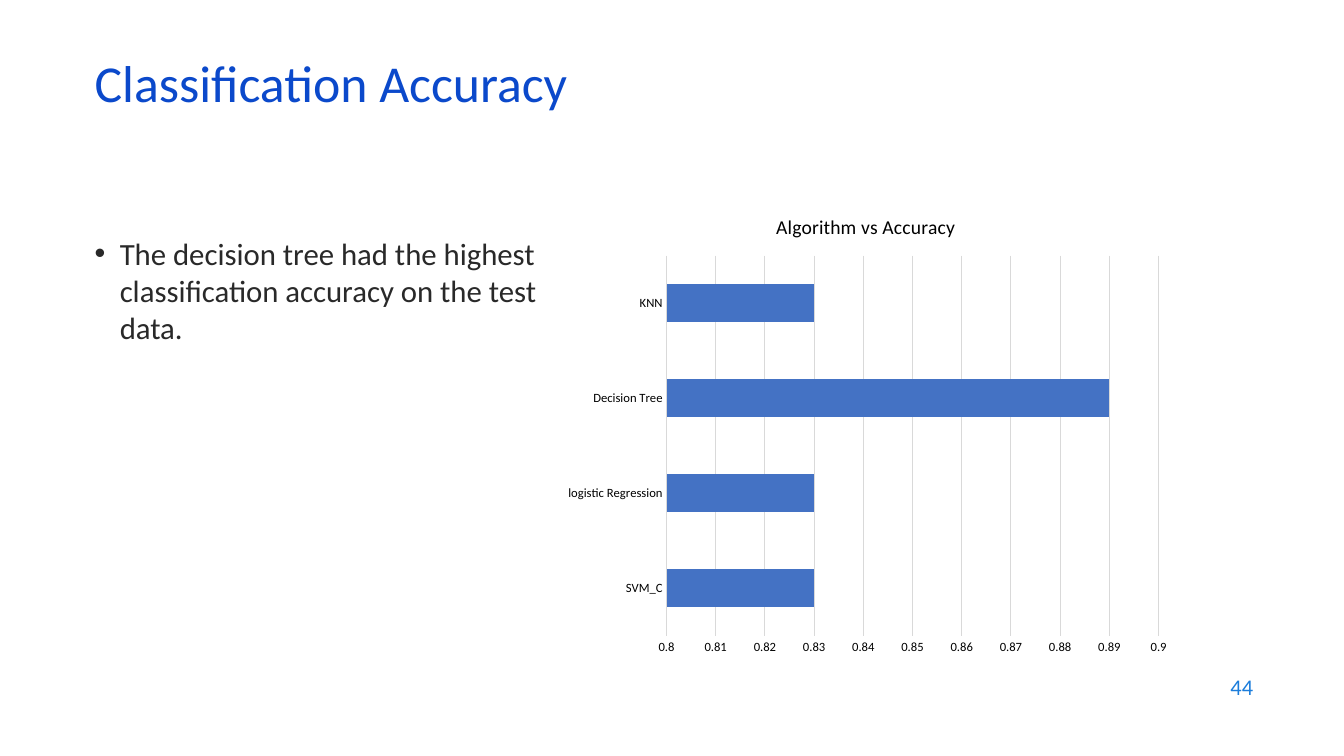
from lxml.etree import SubElement
from pptx import Presentation
from pptx.chart.data import CategoryChartData
from pptx.dml.color import RGBColor
from pptx.enum.chart import XL_CHART_TYPE, XL_TICK_MARK
from pptx.enum.text import MSO_ANCHOR, PP_ALIGN
from pptx.oxml import parse_xml
from pptx.oxml.ns import nsdecls, qn
from pptx.util import Inches, Pt

SLIDE_WIDTH, SLIDE_HEIGHT = Inches(13.333), Inches(7.5)
COLUMN, ROW = SLIDE_WIDTH / 40, SLIDE_HEIGHT / 30
MARGIN = 2.52  # left edge of the text, in columns

FONT = "Calibri"
TITLE_BLUE = RGBColor(0x0B, 0x49, 0xCB)
NUMBER_BLUE = RGBColor(0x1C, 0x7D, 0xDB)
BODY_GREY = RGBColor(0x29, 0x29, 0x29)
BAR_BLUE = RGBColor(0x44, 0x72, 0xC4)
GRID_GREY = RGBColor(0xD9, 0xD9, 0xD9)
BLACK = RGBColor(0, 0, 0)

ACCURACY = {
    "SVM_C": 0.83,
    "logistic Regression": 0.83,
    "Decision Tree": 0.89,
    "KNN": 0.83,
}
# Inner plot area as shares of the chart
PLOT_AREA = {"x": 0.18, "y": 0.13, "w": 0.79, "h": 0.81}


def grid_box(left, top, width, height):
    """Turn columns and rows into slide lengths."""
    return (int(left * COLUMN), int(top * ROW),
            int(width * COLUMN), int(height * ROW))


def style_font(font, size, color):
    font.name = FONT
    font.size = Pt(size)
    font.bold = False
    font.color.rgb = color


def style_line(line, color):
    line.color.rgb = color
    line.width = Pt(0.75)


def add_text(slide, box, text, size, color, anchor=MSO_ANCHOR.MIDDLE):
    text_frame = slide.shapes.add_textbox(*grid_box(*box)).text_frame
    text_frame.word_wrap = True
    text_frame.vertical_anchor = anchor
    text_frame.text = text
    paragraph = text_frame.paragraphs[0]
    style_font(paragraph.runs[0].font, size, color)
    return paragraph


def add_bullet(paragraph):
    properties = paragraph._p.get_or_add_pPr()
    properties.set("marL", str(Inches(0.25)))
    properties.set("indent", str(-Inches(0.25)))
    SubElement(properties, qn("a:buFont"), typeface="Arial")
    SubElement(properties, qn("a:buChar"), char="•")


def place_plot_area(chart):
    settings = [("layoutTarget", "inner"), ("xMode", "edge"), ("yMode", "edge")]
    settings += PLOT_AREA.items()
    content = "".join(f'<c:{tag} val="{value}"/>' for tag, value in settings)
    plot_area = chart._chartSpace.chart.plotArea
    for layout in plot_area.findall(qn("c:layout")):
        plot_area.remove(layout)
    plot_area.insert(0, parse_xml(
        f'<c:layout {nsdecls("c")}><c:manualLayout>{content}'
        '</c:manualLayout></c:layout>'))


def style_axis(axis):
    axis.major_tick_mark = XL_TICK_MARK.NONE
    axis.minor_tick_mark = XL_TICK_MARK.NONE
    style_font(axis.tick_labels.font, 9, BLACK)


def add_bar_chart(slide, box, title, values):
    chart_data = CategoryChartData()
    chart_data.categories = list(values)
    chart_data.add_series("Series 1", list(values.values()))
    chart = slide.shapes.add_chart(
        XL_CHART_TYPE.BAR_STACKED, *grid_box(*box), chart_data).chart
    style_font(chart.font, 10, BLACK)
    chart.has_legend = False

    # Title
    chart.has_title = True
    chart.chart_title.include_in_layout = False
    chart.chart_title.text_frame.text = title
    run = chart.chart_title.text_frame.paragraphs[0].runs[0]
    style_font(run.font, 14, BLACK)

    # Bars
    plot = chart.plots[0]
    plot.vary_by_categories = False
    plot.gap_width = 150
    plot.overlap = 100
    fill = plot.series[0].format.fill
    fill.solid()
    fill.fore_color.rgb = BAR_BLUE

    # Axes
    style_axis(chart.category_axis)
    style_line(chart.category_axis.format.line, GRID_GREY)
    value_axis = chart.value_axis
    style_axis(value_axis)
    value_axis.minimum_scale = 0.8
    value_axis.maximum_scale = 0.9
    value_axis.major_unit = 0.01
    value_axis.tick_labels.number_format = "General"
    value_axis.tick_labels.number_format_is_linked = False
    value_axis.format.line.fill.background()
    value_axis.has_major_gridlines = True
    style_line(value_axis.major_gridlines.format.line, GRID_GREY)
    place_plot_area(chart)


def main():
    presentation = Presentation()
    presentation.slide_width = SLIDE_WIDTH
    presentation.slide_height = SLIDE_HEIGHT
    slide = presentation.slides.add_slide(presentation.slide_layouts[6])

    # Slide number
    number = add_text(slide, (28.59, 26.36, 9, 1.76), "44", 16, NUMBER_BLUE)
    number.alignment = PP_ALIGN.RIGHT

    # Finding
    finding = add_text(
        slide, (MARGIN, 9.12, 13.98, 16.68),
        "The decision tree had the highest classification accuracy "
        "on the test data.", 22, BODY_GREY, MSO_ANCHOR.TOP)
    add_bullet(finding)

    # Heading
    heading = add_text(slide, (MARGIN, 2.36, 34.5, 2.4),
                       "Classification Accuracy", 37, TITLE_BLUE)
    heading.line_spacing = 0.7

    # Accuracy by algorithm
    add_bar_chart(slide, (16.5, 7.72, 18.54, 18.64),
                  "Algorithm vs Accuracy", ACCURACY)

    presentation.save("out.pptx")


if __name__ == "__main__":
    main()
